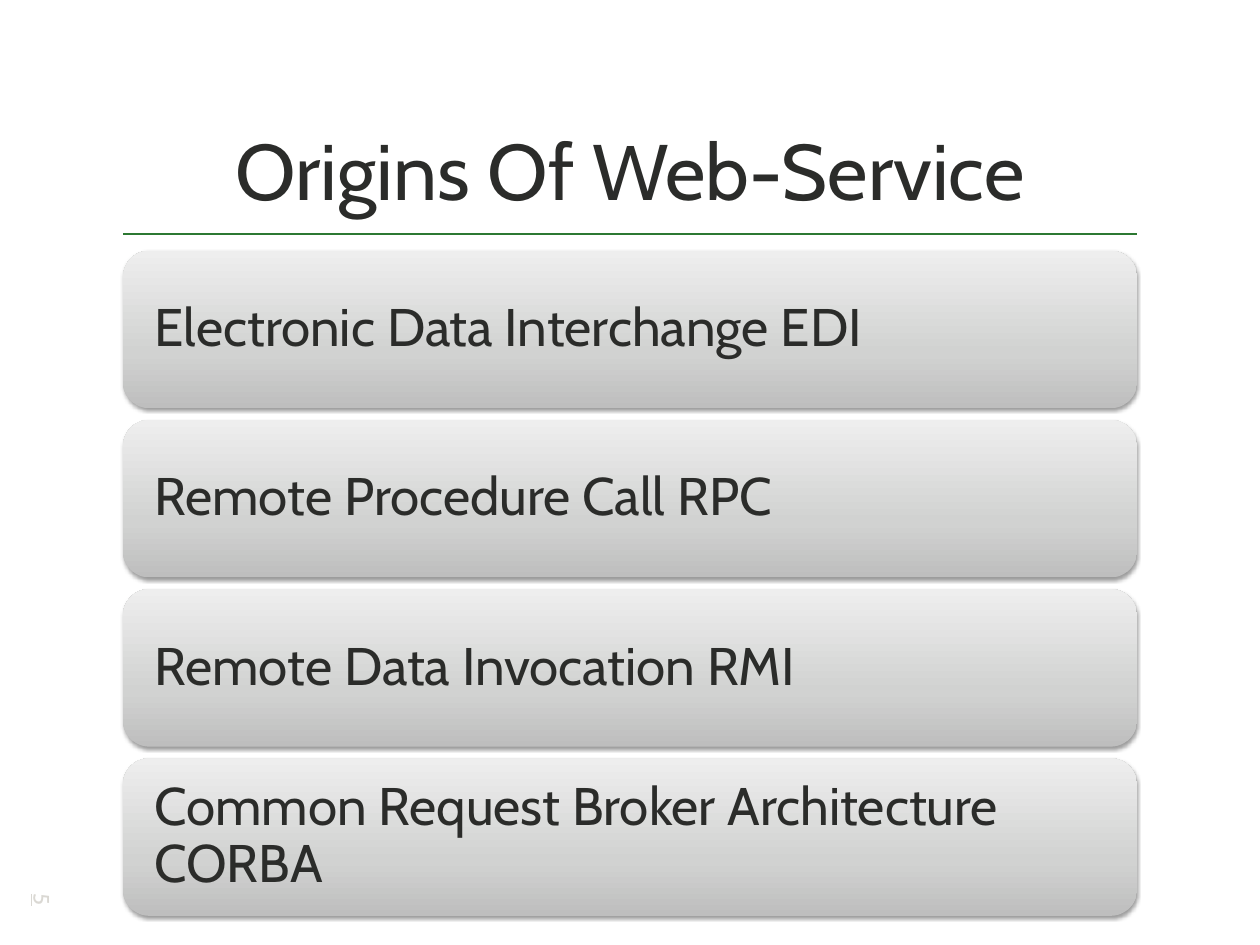
from lxml import etree
from pptx import Presentation
from pptx import util as u
from pptx.dml.color import RGBColor
from pptx.enum import shapes, text
from pptx.oxml import parse_xml
from pptx.oxml.ns import nsdecls, qn

COLORS = {"ink": "2B2C2A", "rule": "2C7832", "number": "DAD8D3", "shadow": "000000"}
CARD_STOPS = [(0, "BEBEBE"), (35, "D1D2D1"), (100, "EEEEEE")]
ORIGINS = [
    "Electronic Data Interchange EDI",
    "Remote Procedure Call RPC",
    "Remote Data Invocation RMI",
    "Common Request Broker Architecture CORBA",
]
LEFT, WIDTH = 100, 824
CARD_TOP, CARD_HEIGHT, CARD_PITCH = 203.8, 128, 137.5


def write(tf, value, size, color="ink", align=text.PP_ALIGN.LEFT,
          anchor=text.MSO_ANCHOR.TOP, inset=(7.2, 3.6), spacing=None,
          wrap=True, underline=None):
    """Fill a text frame with one run; inset is (horizontal, vertical)."""
    tf.auto_size = text.MSO_AUTO_SIZE.NONE
    tf.word_wrap = wrap
    tf.vertical_anchor = anchor
    tf.margin_left = tf.margin_right = u.Pt(inset[0])
    tf.margin_top = tf.margin_bottom = u.Pt(inset[1])
    p = tf.paragraphs[0]
    p.alignment = align
    p.line_spacing = spacing
    r = p.add_run()
    r.text = value
    r.font.name = "Cabin"
    r.font.size = u.Pt(size)
    r.font.underline = underline
    r.font.color.rgb = RGBColor.from_string(COLORS[color])


class Deck:
    def __init__(self, width, height):
        self.prs = Presentation()
        self.prs.slide_width, self.prs.slide_height = u.Pt(width), u.Pt(height)
        self.s = self.prs.slides.add_slide(self.prs.slide_layouts[5])

    def title(self, value, top, height):
        sp = self.s.shapes.title
        sp.left, sp.top, sp.width, sp.height = map(u.Pt, (LEFT, top, WIDTH, height))
        write(sp.text_frame, value, 64, align=text.PP_ALIGN.CENTER,
              anchor=text.MSO_ANCHOR.BOTTOM, inset=(4, 4))

    def rule(self, y):
        ends = map(u.Pt, (LEFT, y, LEFT + WIDTH, y))
        cx = self.s.shapes.add_connector(shapes.MSO_CONNECTOR.STRAIGHT, *ends)
        cx.line.width = u.Pt(2)
        cx.line.color.rgb = RGBColor.from_string(COLORS["rule"])
        etree.SubElement(cx._element.spPr, qn("a:effectLst"))

    def card(self, value, top):
        box = map(u.Pt, (LEFT, top, WIDTH, CARD_HEIGHT))
        sp = self.s.shapes.add_shape(shapes.MSO_SHAPE.ROUNDED_RECTANGLE, *box)
        sp.line.fill.background()
        sp.fill.gradient()
        sp.fill.gradient_angle = 90
        stops = sp._element.spPr.find(qn("a:gradFill")).find(qn("a:gsLst"))
        stops.clear()
        for pos, color in CARD_STOPS:
            gs = etree.SubElement(stops, qn("a:gs"), pos=str(pos * 1000))
            etree.SubElement(gs, qn("a:srgbClr"), val=color)
        sp.shadow.inherit = False
        sp._element.spPr.find(qn("a:effectLst")).append(parse_xml(
            f'<a:outerShdw {nsdecls("a")} blurRad="{u.Pt(3.1)}" dist="{u.Pt(1.6)}" '
            f'dir="5400000" rotWithShape="0"><a:srgbClr val="{COLORS["shadow"]}">'
            '<a:alpha val="38000"/></a:srgbClr></a:outerShdw>'))
        write(sp.text_frame, value, 43, anchor=text.MSO_ANCHOR.MIDDLE,
              inset=(19.4, 19.4), spacing=0.9)

    def page_number(self, value):
        sp = self.s.shapes.add_textbox(*map(u.Pt, (20, 720, 29.5, 28)))
        sp.rotation = 90
        write(sp.text_frame, value, 18, color="number", wrap=False, underline=True)


def main():
    deck = Deck(1024, 768)
    deck.rule(190)
    deck.title("Origins Of Web-Service", 20, 160)
    deck.page_number("5")
    for i, origin in enumerate(ORIGINS):
        deck.card(origin, CARD_TOP + i * CARD_PITCH)
    deck.prs.save("out.pptx")


if __name__ == "__main__":
    main()
